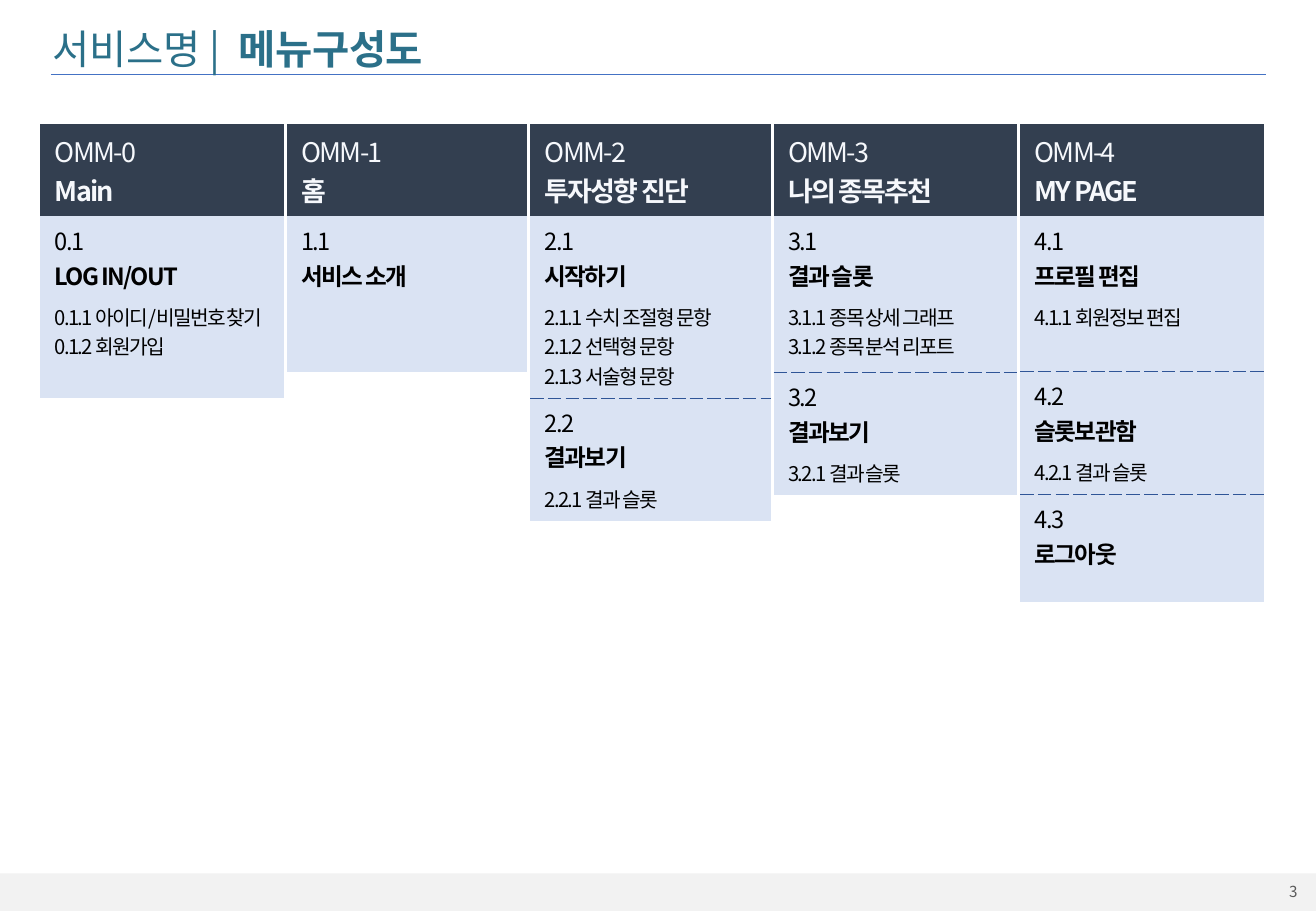
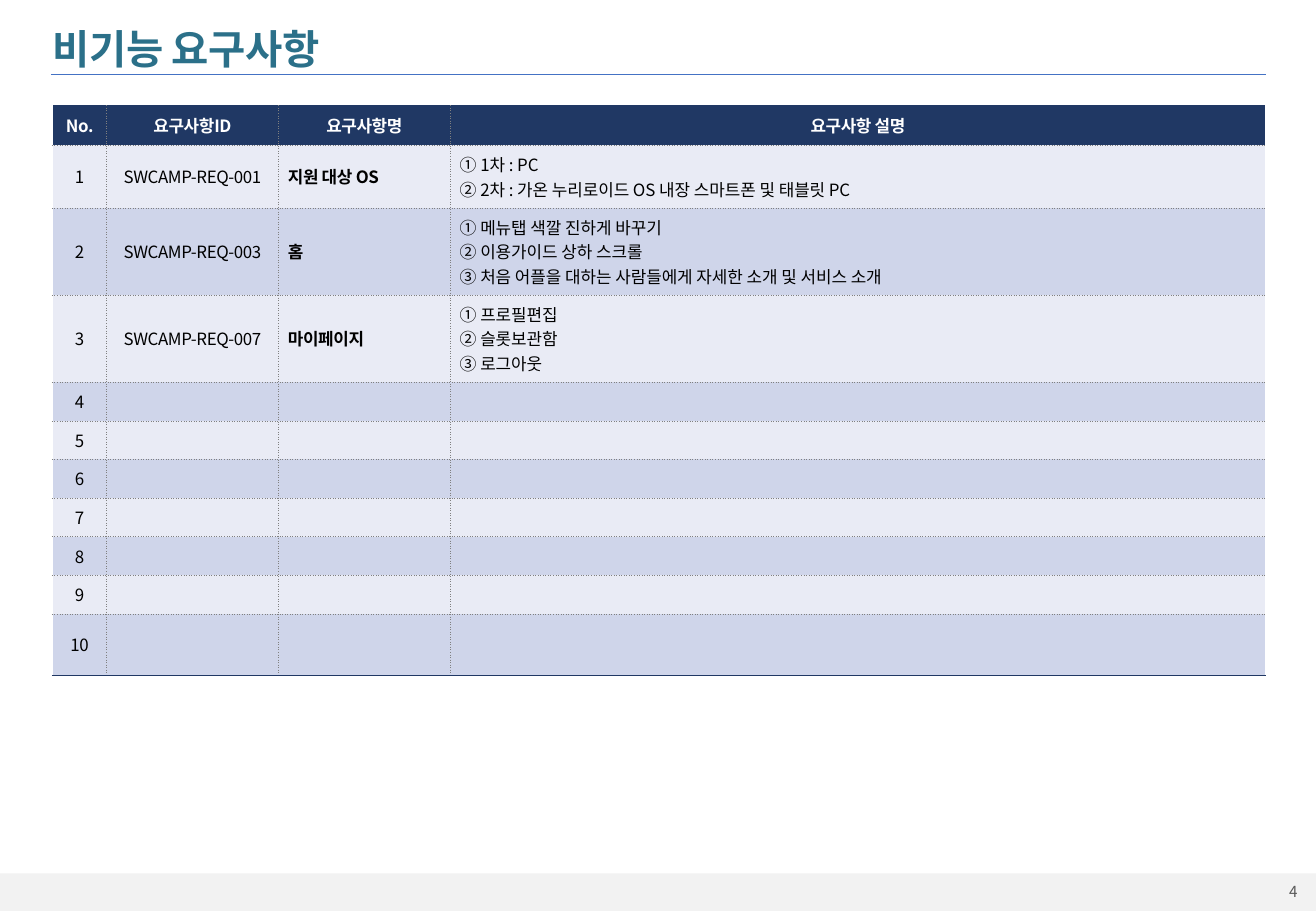
from dataclasses import dataclass
from typing import Any

import lxml.etree
import pptx
import pptx.dml.color
import pptx.enum.shapes
import pptx.enum.text
import pptx.oxml.ns
import pptx.util

Pt = pptx.util.Pt
qn = pptx.oxml.ns.qn
Align = pptx.enum.text.PP_ALIGN
Anchor = pptx.enum.text.MSO_ANCHOR
FONT = "Noto Sans CJK KR"
PLAIN = "{2D5ABB26-0587-4C30-8999-92F81FD0307C}"
WIDTH, HEIGHT = 780, 540
COLORS = {
    "title": "2B7089", "rule": "4472C4", "band": "F2F2F2", "page": "595959",
    "slate": "333F50", "pale": "DAE3F3", "dash": "2F5597", "light": "F6F8FC",
    "navy": "203864", "odd": "E9EBF5", "even": "CFD5EA", "dot": "808080",
    "white": "FFFFFF", "black": "000000",
}


@dataclass(frozen=True)
class Style:
    size: float
    color: str
    bold: bool = False
    space: float = 0


@dataclass(frozen=True)
class Line:
    text: str
    style: Style
    before: float = 0
    after: float = 0


@dataclass(frozen=True)
class Edge:
    color: str
    width: float
    dash: str = "solid"


@dataclass(frozen=True)
class Group:
    code: str
    name: str
    items: tuple[str, ...]
    height: float


@dataclass(frozen=True)
class Menu:
    code: str
    name: str
    width: float
    groups: tuple[Group, ...]


@dataclass(frozen=True)
class Need:
    code: str = ""
    name: str = ""
    notes: tuple[str, ...] = ()
    height: float = 22.9


TITLE = Style(24, "title", space=-0.2)
STRONG = Style(24, "title", True, -0.2)
GAP = Style(24, "title", space=5.4)
PAGE = Style(9, "page")
TOP = Style(16, "light", space=-1)
NAME = Style(16, "light", True, -1)
CODE = Style(14, "black", space=-1)
GROUP = Style(14, "black", True, -1)
ITEM = Style(12, "black", space=-1)
HEAD = Style(10, "white", True, -0.2)
BODY = Style(10, "black", space=-0.2)
BOLD = Style(10, "black", True, -0.2)
NOTE = Style(10, "black")

DASH = Edge("dash", 0.25, "dash")
DOT = Edge("dot", 0.25, "sysDot")
SIDE = Edge("white", 1)
FRAME = Edge("navy", 1)

MENUS = (
    Menu("OMM-0", "Main", 144.5, (
        Group("0.1", "LOG IN/OUT", ("0.1.1 아이디/비밀번호 찾기", "0.1.2 회원가입"), 107.8),)),
    Menu("OMM-1", "홈", 142.5, (
        Group("1.1", "서비스 소개", (), 92.4),)),
    Menu("OMM-2", "투자성향 진단", 142.5, (
        Group("2.1", "시작하기",
              ("2.1.1 수치 조절형 문항", "2.1.2 선택형 문항", "2.1.3 서술형 문항"), 107.8),
        Group("2.2", "결과보기", ("2.2.1 결과 슬롯",), 72.8))),
    Menu("OMM-3", "나의 종목추천", 144.5, (
        Group("3.1", "결과 슬롯", ("3.1.1 종목 상세 그래프", "3.1.2 종목 분석 리포트"), 92.6),
        Group("3.2", "결과보기", ("3.2.1 결과 슬롯",), 72.8))),
    Menu("OMM-4", "MY PAGE", 144.5, (
        Group("4.1", "프로필 편집", ("4.1.1 회원정보 편집",), 92),
        Group("4.2", "슬롯보관함", ("4.2.1 결과 슬롯",), 72.8),
        Group("4.3", "로그아웃", (), 64))),
)
HEADS = ("No.", "요구사항ID", "요구사항명", "요구사항 설명")
NEEDS = (
    Need("SWCAMP-REQ-001", "지원 대상 OS",
         ("① 1차 : PC", "② 2차 : 가온 누리로이드 OS 내장 스마트폰 및 태블릿 PC"), 37.4),
    Need("SWCAMP-REQ-003", "홈",
         ("① 메뉴탭 색깔 진하게 바꾸기", "② 이용가이드 상하 스크롤",
          "③ 처음 어플을 대하는 사람들에게 자세한 소개 및 서비스 소개"), 51.6),
    Need("SWCAMP-REQ-007", "마이페이지",
         ("① 프로필편집", "② 슬롯보관함", "③ 로그아웃"), 51.6),
    *(Need() for _ in range(6)),
    Need(height=36.7),
)


def tint(name: str) -> Any:
    return pptx.dml.color.RGBColor.from_string(COLORS[name])


def ink(run: Any, style: Style) -> None:
    font = run.font
    font.name, font.size, font.bold = FONT, Pt(style.size), style.bold
    font.color.rgb = tint(style.color)
    props = run._r.get_or_add_rPr()
    props.set("spc", str(round(style.space * 100)))
    latin = props.find(qn("a:latin"))
    latin.addnext(latin.makeelement(qn("a:ea"), {"typeface": FONT}))


def write(frame: Any, lines: list[Line], align: Any = Align.LEFT) -> None:
    frame.text = "\n".join(line.text for line in lines)
    for para, line in zip(frame.paragraphs, lines):
        para.alignment = align
        para.space_before, para.space_after = Pt(line.before), Pt(line.after)
        for run in para.runs:
            ink(run, line.style)
        if not line.text:
            lxml.etree.SubElement(para._p, qn("a:endParaRPr"),
                                  sz=str(round(line.style.size * 100)))


def block(*lines: tuple[str, Style]) -> list[Line]:
    last = len(lines) - 1
    return [Line(text, style, 3 if i == 0 else 0, 3 if i == last else 0)
            for i, (text, style) in enumerate(lines)]


def edge(cell: Any, side: str, look: Edge) -> None:
    props = cell._tc.get_or_add_tcPr()
    line = lxml.etree.SubElement(props, qn(f"a:ln{side}"), w=str(int(Pt(look.width))))
    fill = lxml.etree.SubElement(line, qn("a:solidFill"))
    lxml.etree.SubElement(fill, qn("a:srgbClr"), val=COLORS[look.color])
    lxml.etree.SubElement(line, qn("a:prstDash"), val=look.dash)


def paint(cell: Any, fill: str, edges: dict[str, Edge], pad: tuple[float, float],
          anchor: Any = Anchor.MIDDLE) -> None:
    for side, look in edges.items():
        edge(cell, side, look)
    cell.fill.solid()
    cell.fill.fore_color.rgb = tint(fill)
    cell.margin_left = cell.margin_right = Pt(pad[0])
    cell.margin_top = cell.margin_bottom = Pt(pad[1])
    cell.vertical_anchor = anchor


def grid(slide: Any, left: float, top: float, cols: list[float],
         rows: list[float]) -> Any:
    frame = slide.shapes.add_table(len(rows), len(cols), Pt(left), Pt(top),
                                   Pt(sum(cols)), Pt(sum(rows)))
    for style in frame._element.iter(qn("a:tableStyleId")):
        style.text = PLAIN
    table = frame.table
    table.first_row = table.horz_banding = False
    for col, width in zip(table.columns, cols):
        col.width = Pt(width)
    for row, height in zip(table.rows, rows):
        row.height = Pt(height)
    return table


def label(slide: Any, left: float, top: float, width: float, height: float,
          wrap: bool) -> Any:
    box = slide.shapes.add_textbox(Pt(left), Pt(top), Pt(width), Pt(height))
    frame = box.text_frame
    frame.word_wrap = wrap
    frame.vertical_anchor = Anchor.MIDDLE
    frame.margin_left = frame.margin_right = frame.margin_top = frame.margin_bottom = 0
    return frame


def base(deck: Any, page: int, title: list[tuple[str, Style]]) -> Any:
    slide = deck.slides.add_slide(deck.slide_layouts[6])
    band = slide.shapes.add_shape(pptx.enum.shapes.MSO_SHAPE.RECTANGLE,
                                  0, Pt(517.7), Pt(WIDTH), Pt(22.3))
    band.shadow.inherit = False
    band.fill.solid()
    band.fill.fore_color.rgb = tint("band")
    band.line.fill.background()
    write(label(slide, 718.6, 521.3, 50.4, 14.4, True),
          [Line(str(page), PAGE)], Align.RIGHT)
    rule = slide.shapes.add_connector(pptx.enum.shapes.MSO_CONNECTOR.STRAIGHT,
                                      Pt(30.2), Pt(44), Pt(750.2), Pt(44))
    rule.line.color.rgb = tint("rule")
    rule.line.width = Pt(0.5)
    lxml.etree.SubElement(rule._element.spPr, qn("a:effectLst"))
    para = label(slide, 31, 13, 719.3, 31.7, False).paragraphs[0]
    para.alignment = Align.LEFT
    for text, style in title:
        run = para.add_run()
        run.text = text
        ink(run, style)
    return slide


def menus(deck: Any) -> None:
    slide = base(deck, 3, [("서비스명 |", TITLE), (" ", GAP), ("메뉴구성도", STRONG)])
    left, pad = 23.9, (8.6, 4.3)
    for menu in MENUS:
        table = grid(slide, left, 73.4, [menu.width],
                     [54.6, *(group.height for group in menu.groups)])
        head = table.cell(0, 0)
        write(head.text_frame, block((menu.code, TOP), (menu.name, NAME)))
        paint(head, "slate", {}, pad)
        for i, group in enumerate(menu.groups, 1):
            cell = table.cell(i, 0)
            lines = block((group.code, CODE), (group.name, GROUP))
            lines += block(*((item, ITEM) for item in group.items))
            write(cell.text_frame, lines)
            edges = {}
            if i > 1:
                edges["T"] = DASH
            if i < len(menu.groups):
                edges["B"] = DASH
            paint(cell, "pale", edges, pad, Anchor.TOP)
        left += menu.width + 1.7


def needs(deck: Any) -> None:
    slide = base(deck, 4, [("비기능 요구사항", STRONG)])
    cols = [32, 101.8, 101.8, 483.4]
    table = grid(slide, 31.2, 62.9, cols, [23.1, *(need.height for need in NEEDS)])
    rows = [[[Line(head, HEAD)] for head in HEADS]]
    for i, need in enumerate(NEEDS, 1):
        rows.append([[Line(str(i), BODY)], [Line(need.code, BODY)],
                     [Line(need.name, BOLD)],
                     [Line(note, NOTE) for note in need.notes or ("",)]])
    for r, row in enumerate(rows):
        fill = "navy" if r == 0 else "odd" if r % 2 else "even"
        for c, lines in enumerate(row):
            cell = table.cell(r, c)
            write(cell.text_frame, lines,
                  Align.CENTER if r == 0 or c < 2 else Align.LEFT)
            edges = {
                "L": DOT if c else SIDE,
                "R": DOT if c < len(cols) - 1 else SIDE,
                "T": DOT if r else FRAME,
                "B": DOT if r < len(rows) - 1 else FRAME,
            }
            paint(cell, fill, edges, (5.7, 4.2))


def main() -> None:
    deck = pptx.Presentation()
    deck.slide_width, deck.slide_height = Pt(WIDTH), Pt(HEIGHT)
    menus(deck)
    needs(deck)
    deck.save("out.pptx")


if __name__ == "__main__":
    main()
